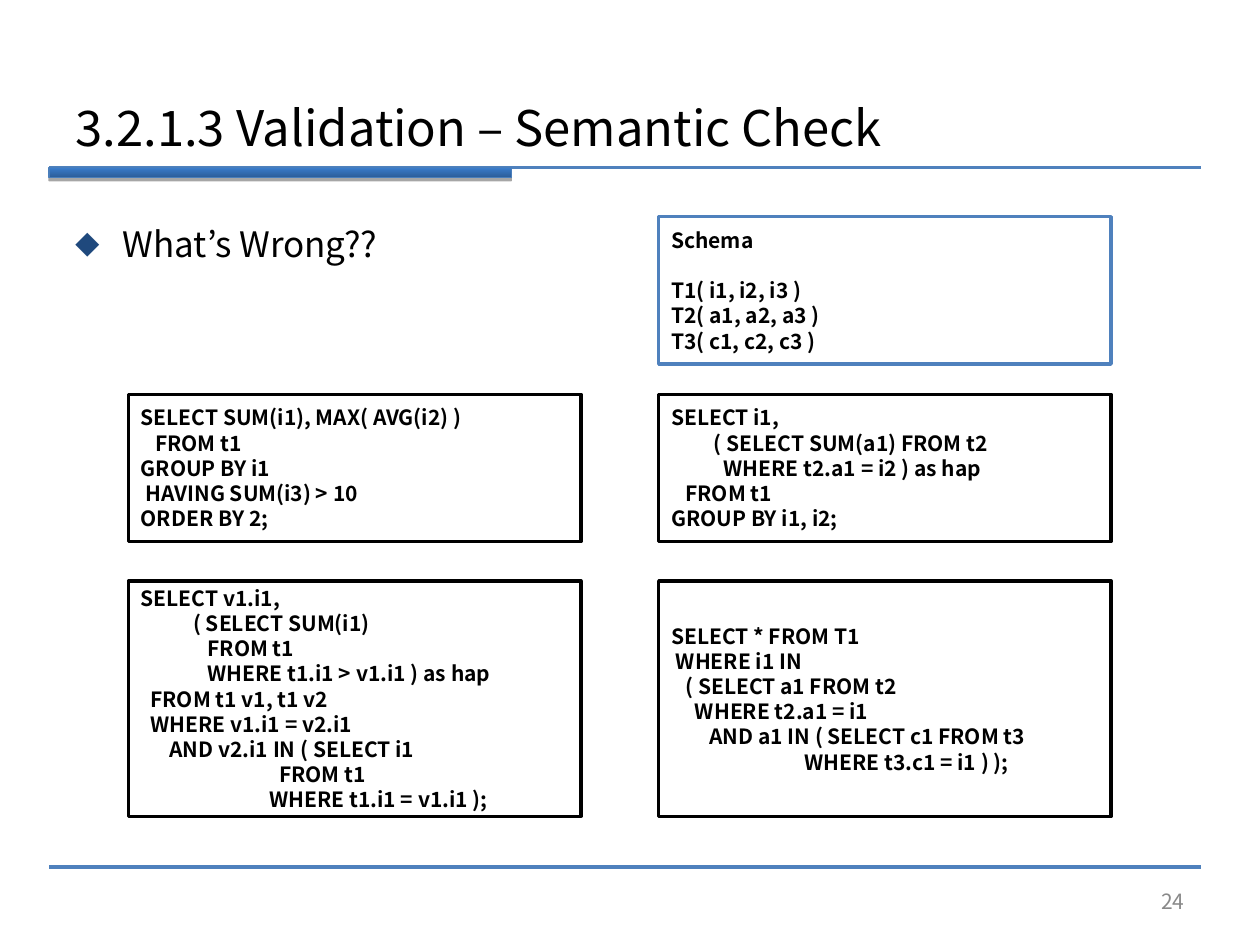
from lxml import etree
from pptx import Presentation
from pptx import util as u
from pptx.dml.color import RGBColor
from pptx.enum import shapes, text
from pptx.oxml import ns, parse_xml

BLACK = RGBColor(0x00, 0x00, 0x00)
WHITE = RGBColor(0xFF, 0xFF, 0xFF)
BLUE = RGBColor(0x4F, 0x81, 0xBD)
BAR_LINE = RGBColor(0x4A, 0x7E, 0xBB)
BAR_DARK = RGBColor(0x2C, 0x5D, 0x98)
BAR_LIGHT = RGBColor(0x3A, 0x7C, 0xCB)
GREY = RGBColor(0x89, 0x89, 0x89)

BULLET = (
    '<a:buClr {0}><a:srgbClr val="1F497D"/></a:buClr>',
    '<a:buSzPct {0} val="70000"/>',
    '<a:buFont {0} typeface="Noto Sans CJK KR"/>',
    '<a:buChar {0} char="◆"/>',
)
BAR_SHADOW = (
    '<a:effectLst {0}><a:outerShdw dist="22860" dir="5400000" rotWithShape="0">'
    '<a:srgbClr val="000000"><a:alpha val="35000"/></a:srgbClr>'
    '</a:outerShdw></a:effectLst>'
)


def xml(markup):
    return parse_xml(markup.format(ns.nsdecls("a")))


class Deck:
    """Holds the style and the current slide."""

    font = "Noto Sans CJK KR"
    code_leading = u.Pt(14.4)

    def __init__(self, prs):
        self.s = prs.slides.add_slide(prs.slide_layouts[1])

    def place(self, sp, box):
        for name, value in zip(("left", "top", "width", "height"), box):
            setattr(sp, name, u.Cm(value))

    def set_text(self, sp, lines, size, color=BLACK, bold=False,
                 anchor=text.MSO_ANCHOR.MIDDLE, **para):
        tf = sp.text_frame
        frame = {"word_wrap": True, "auto_size": text.MSO_AUTO_SIZE.NONE,
                 "vertical_anchor": anchor}
        for name, value in frame.items():
            setattr(tf, name, value)
        tf.text = "\n".join(lines)
        para = {"alignment": text.PP_ALIGN.LEFT, "space_before": u.Pt(0), **para}
        for p in tf.paragraphs:
            for name, value in para.items():
                setattr(p, name, value)
            for r in p.runs:
                style = {"name": self.font, "size": u.Pt(size), "bold": bold}
                for name, value in style.items():
                    setattr(r.font, name, value)
                r.font.color.rgb = color
        return tf

    def title(self, box, words):
        sp = self.s.shapes.title
        self.place(sp, box)
        self.set_text(sp, [words], 28)

    def bullets(self, box, lines):
        sp = self.s.placeholders[1]
        self.place(sp, box)
        tf = self.set_text(sp, lines, 20, anchor=text.MSO_ANCHOR.TOP,
                           line_spacing=0.9)
        for p in tf.paragraphs:
            pPr = p._p.get_or_add_pPr()
            pPr.set("marL", str(int(u.Cm(0.95))))
            pPr.set("indent", str(-int(u.Cm(0.95))))
            for markup in BULLET:
                pPr.append(xml(markup))

    def label(self, box, words, size, color, align):
        sp = self.s.shapes.add_textbox(*map(u.Cm, box))
        self.set_text(sp, [words], size, color, alignment=align)

    def rule(self, left, right, y):
        cx = self.s.shapes.add_connector(
            shapes.MSO_CONNECTOR.STRAIGHT, *map(u.Cm, (left, y, right, y)))
        cx.line.color.rgb = BLUE
        cx.line.width = u.Pt(2)
        etree.SubElement(cx._element.spPr, ns.qn("a:effectLst"))

    def rect(self, box, line, width):
        sp = self.s.shapes.add_shape(shapes.MSO_SHAPE.RECTANGLE, *map(u.Cm, box))
        sp.shadow.inherit = False
        sp.line.color.rgb = line
        sp.line.width = u.Pt(width)
        return sp

    def accent_bar(self, box):
        sp = self.rect(box, BAR_LINE, 0.75)
        sp.fill.gradient()
        sp.fill.gradient_angle = 90
        for stop, color in zip(sp.fill.gradient_stops, (BAR_DARK, BAR_LIGHT)):
            stop.color.rgb = color
        spPr = sp._element.spPr
        spPr.replace(spPr.find(ns.qn("a:effectLst")), xml(BAR_SHADOW))

    def code_box(self, box, lines, line=BLACK, fill=None):
        sp = self.rect(box, line, 2)
        if fill is None:
            sp.fill.background()
        else:
            sp.fill.solid()
            sp.fill.fore_color.rgb = fill
        return self.set_text(sp, lines, 12, bold=True,
                             line_spacing=self.code_leading)


# Grid of the boxes
LEFT, RIGHT = 2.59, 13.28
WIDTH, SHORT, TALL = 9.12, 2.97, 4.75
TOP, MIDDLE, BOTTOM = 4.37, 7.95, 11.71

QUERIES = [
    ((LEFT, MIDDLE, WIDTH, SHORT), [
        "SELECT SUM(i1), MAX( AVG(i2) )",
        "   FROM t1",
        "GROUP BY i1",
        " HAVING SUM(i3) > 10",
        "ORDER BY 2;",
    ]),
    ((LEFT, BOTTOM, WIDTH, TALL), [
        "SELECT v1.i1,",
        "           ( SELECT SUM(i1)",
        "              FROM t1 \v              WHERE t1.i1 > v1.i1 ) as hap",
        "  FROM t1 v1, t1 v2",
        "  WHERE v1.i1 = v2.i1",
        "      AND v2.i1 IN ( SELECT i1",
        "                             FROM t1",
        "                           WHERE t1.i1 = v1.i1 );",
    ]),
    ((RIGHT, BOTTOM, WIDTH, TALL), [
        "SELECT * FROM T1",
        " WHERE i1 IN",
        "   ( SELECT a1 FROM t2",
        "     WHERE t2.a1 = i1",
        "        AND a1 IN ( SELECT c1 FROM t3",
        "                            WHERE t3.c1 = i1 ) );",
    ]),
    ((RIGHT, MIDDLE, WIDTH, SHORT), [
        "SELECT i1,",
        "         ( SELECT SUM(a1) FROM t2",
        "           WHERE t2.a1 = i2 ) as hap",
        "   FROM t1",
        "GROUP BY i1, i2;",
    ]),
]
SCHEMA = ["Schema", "T1( i1, i2, i3 )", "T2( a1, a2, a3 )", "T3( c1, c2, c3 )"]


def main():
    prs = Presentation()
    prs.slide_width, prs.slide_height = u.Cm(25.4), u.Cm(19.05)
    deck = Deck(prs)

    # Rules and accent bar
    for y in (17.48, 3.38):
        deck.rule(0.99, 24.21, y)
    deck.accent_bar((0.99, 3.38, 9.32, 0.2))

    # Title, question and page number
    deck.title((1.27, 1.78, 22.86, 1.57), "3.2.1.3 Validation – Semantic Check")
    deck.bullets((1.27, 4.45, 11.23, 1.32), ["What’s Wrong??"])
    deck.label((18.21, 17.65, 5.92, 1.02), "24", 12, GREY, text.PP_ALIGN.RIGHT)

    # Queries
    for box, lines in QUERIES:
        deck.code_box(box, lines)

    # Schema, with a one-line gap below its heading
    tf = deck.code_box((RIGHT, TOP, WIDTH, SHORT), SCHEMA, BLUE, WHITE)
    tf.paragraphs[1].space_before = deck.code_leading

    prs.save("out.pptx")


if __name__ == "__main__":
    main()
